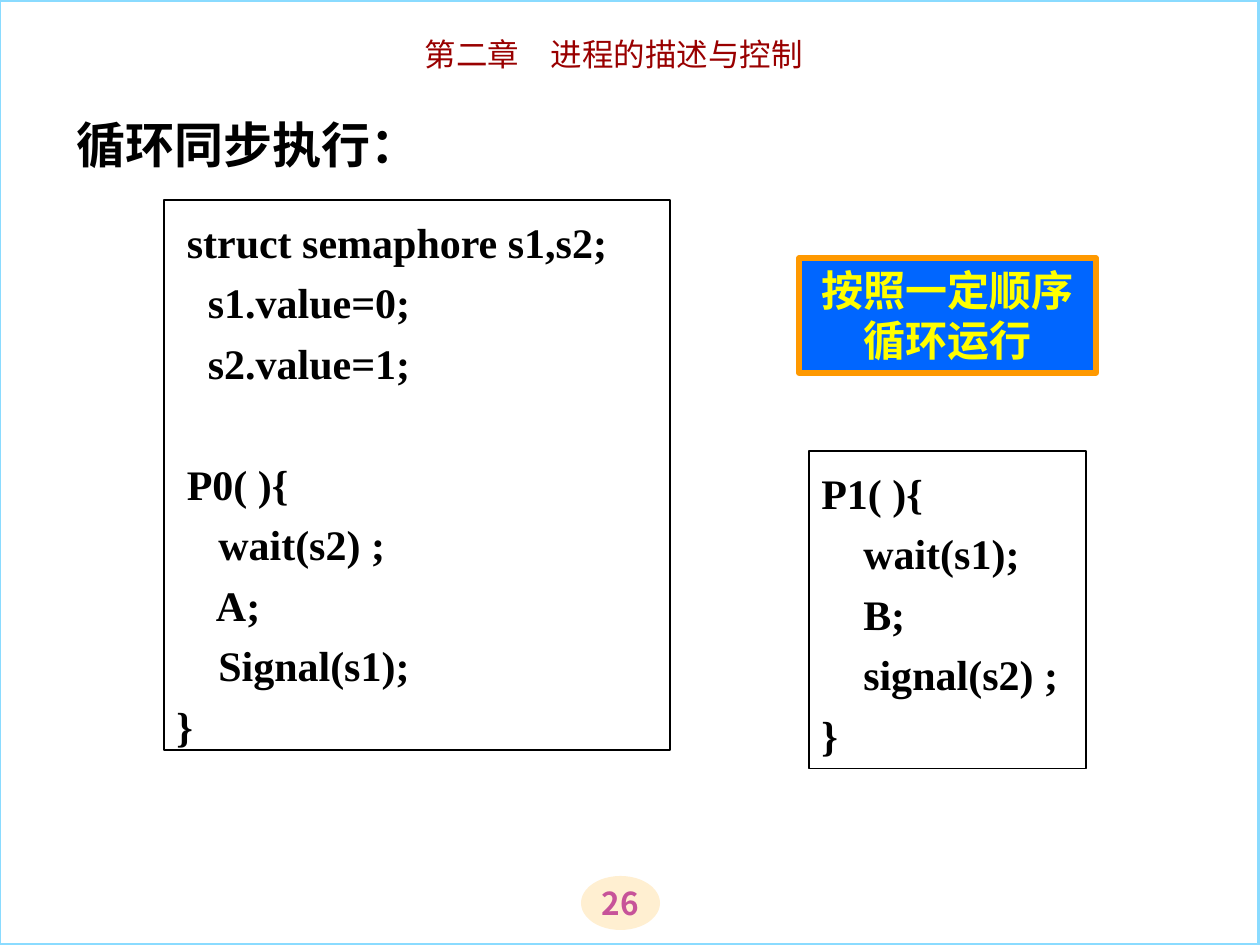
from dataclasses import dataclass

from pptx import Presentation
from pptx import util as u
from pptx.dml.color import RGBColor
from pptx.enum import shapes, text
from pptx.oxml.ns import qn

PX = u.Inches(1) // 126

CHAPTER = "第二章　进程的描述与控制"
TITLE = "循环同步执行："
NOTE = "按照一定顺序循环运行"
PAGE_NUMBER = "26"
P0_CODE = [
    " struct semaphore s1,s2;",
    "   s1.value=0;",
    "   s2.value=1;",
    "",
    " P0( ){",
    "    wait(s2) ;",
    "    A;",
    "    Signal(s1);",
    "}",
]
P1_CODE = [
    "P1( ){",
    "    wait(s1);",
    "    B;",
    "    signal(s2) ;",
    "}",
]


@dataclass(frozen=True)
class Theme:
    latin: str = "Times New Roman"
    chinese: str = "Noto Sans CJK SC"
    header_font: str = "Noto Sans CJK JP"
    black: str = "000000"
    header: str = "990000"
    frame: str = "8ADBFF"
    badge: str = "FFEFD1"
    badge_text: str = "C75399"
    note: str = "0066FF"
    note_line: str = "FF9900"
    note_text: str = "FFFF00"
    small: int = 18
    body: int = 24
    title: int = 28
    code_spacing: float = 1.2


THEME = Theme()


def place(shape, box):
    shape.left, shape.top, shape.width, shape.height = (v * PX for v in box)


def write(shape, lines, size, color, latin=THEME.latin, chinese=THEME.chinese,
          bold=True, centred=False, spacing=None, anchor=text.MSO_ANCHOR.TOP):
    frame = shape.text_frame
    frame.word_wrap = True
    frame.auto_size = text.MSO_AUTO_SIZE.NONE
    frame.vertical_anchor = anchor
    frame.text = "\n".join(lines)
    for paragraph in frame.paragraphs:
        paragraph.alignment = text.PP_ALIGN.CENTER if centred else text.PP_ALIGN.LEFT
        paragraph.line_spacing = spacing
        paragraph.font.size = u.Pt(size)
        for run in paragraph.runs:
            font = run.font
            font.size, font.bold, font.name = u.Pt(size), bold, latin
            font.color.rgb = RGBColor.from_string(color)
            east_asian = run._r.get_or_add_rPr().makeelement(
                qn("a:ea"), {"typeface": chinese})
            font._element.find(qn("a:latin")).addnext(east_asian)


def add_box(slide, box, fill=None, line=None, weight=0.75,
            kind=shapes.MSO_SHAPE.RECTANGLE):
    shape = slide.shapes.add_shape(kind, *(v * PX for v in box))
    shape.shadow.inherit = False
    if fill:
        shape.fill.solid()
        shape.fill.fore_color.rgb = RGBColor.from_string(fill)
    else:
        shape.fill.background()
    if line:
        shape.line.color.rgb = RGBColor.from_string(line)
        shape.line.width = u.Pt(weight)
    else:
        shape.line.fill.background()
    return shape


def main():
    presentation = Presentation()
    presentation.slide_width = 1260 * PX
    presentation.slide_height = 945 * PX
    slide = presentation.slides.add_slide(presentation.slide_layouts[5])

    badge = add_box(slide, (581, 876, 79, 54), fill=THEME.badge,
                    kind=shapes.MSO_SHAPE.OVAL)
    write(badge, [PAGE_NUMBER], THEME.small, THEME.badge_text,
          latin=THEME.chinese, centred=True, anchor=text.MSO_ANCHOR.MIDDLE)
    frame = badge.text_frame
    frame.margin_left = frame.margin_right = 0
    frame.margin_top = frame.margin_bottom = 0

    add_box(slide, (-1, 0, 1260, 945), line=THEME.frame, weight=2.25)

    chapter = slide.shapes.add_textbox(*(v * PX for v in (262, 29, 704, 50)))
    write(chapter, [CHAPTER], THEME.small, THEME.header, latin=THEME.header_font,
          chinese=THEME.header_font, bold=False, centred=True)

    for code, box in ((P0_CODE, (164, 200, 506, 550)),
                      (P1_CODE, (809, 451, 277, 318))):
        listing = add_box(slide, box, line=THEME.black)
        write(listing, code, THEME.body, THEME.black, spacing=THEME.code_spacing)

    note = add_box(slide, (799, 258, 297, 115), fill=THEME.note,
                   line=THEME.note_line, weight=3)
    write(note, [NOTE], THEME.body, THEME.note_text, centred=True)

    title = slide.shapes.title
    place(title, (64, 96, 1131, 764))
    write(title, [TITLE], THEME.title, THEME.black, spacing=THEME.code_spacing)

    presentation.save("out.pptx")


if __name__ == "__main__":
    main()
